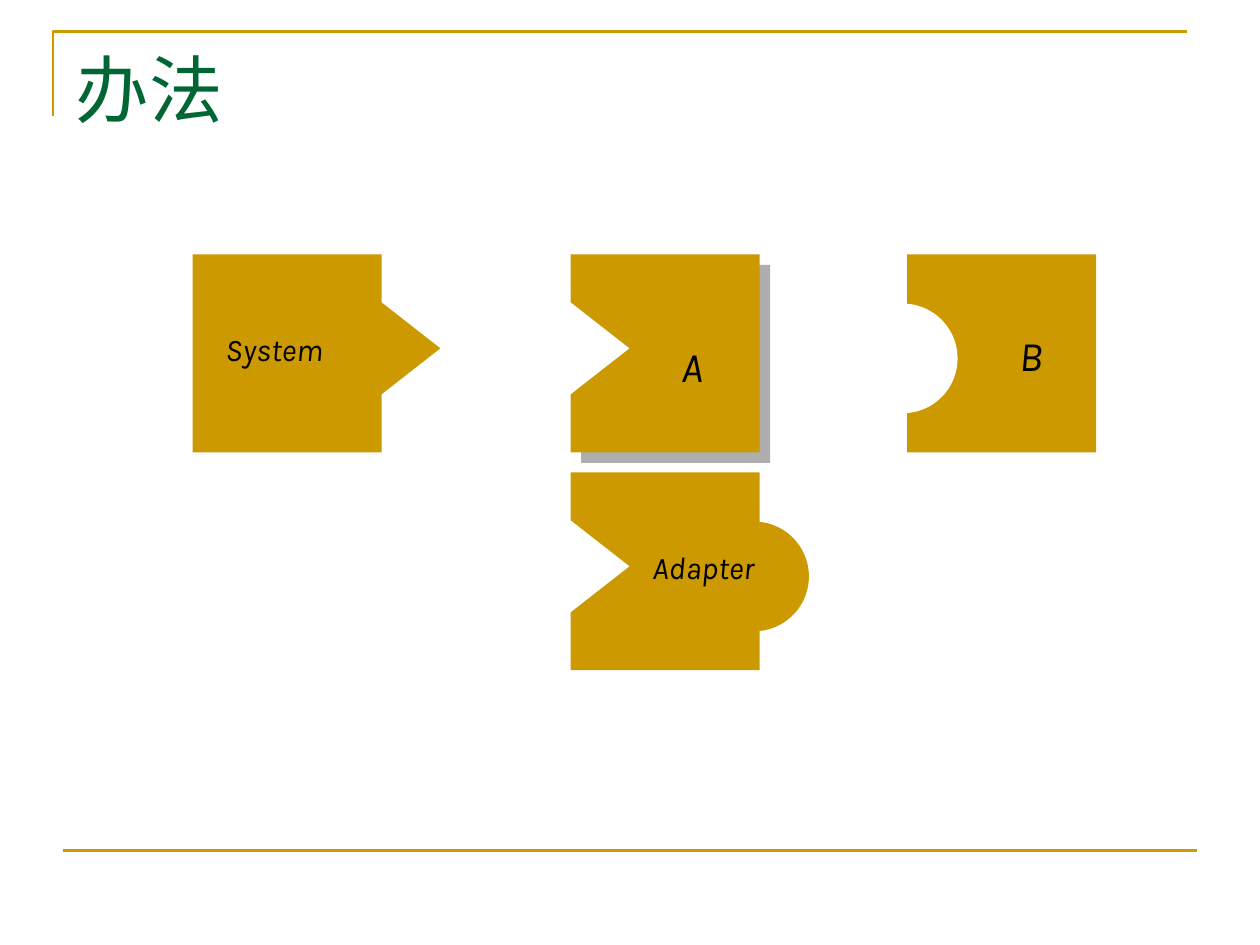
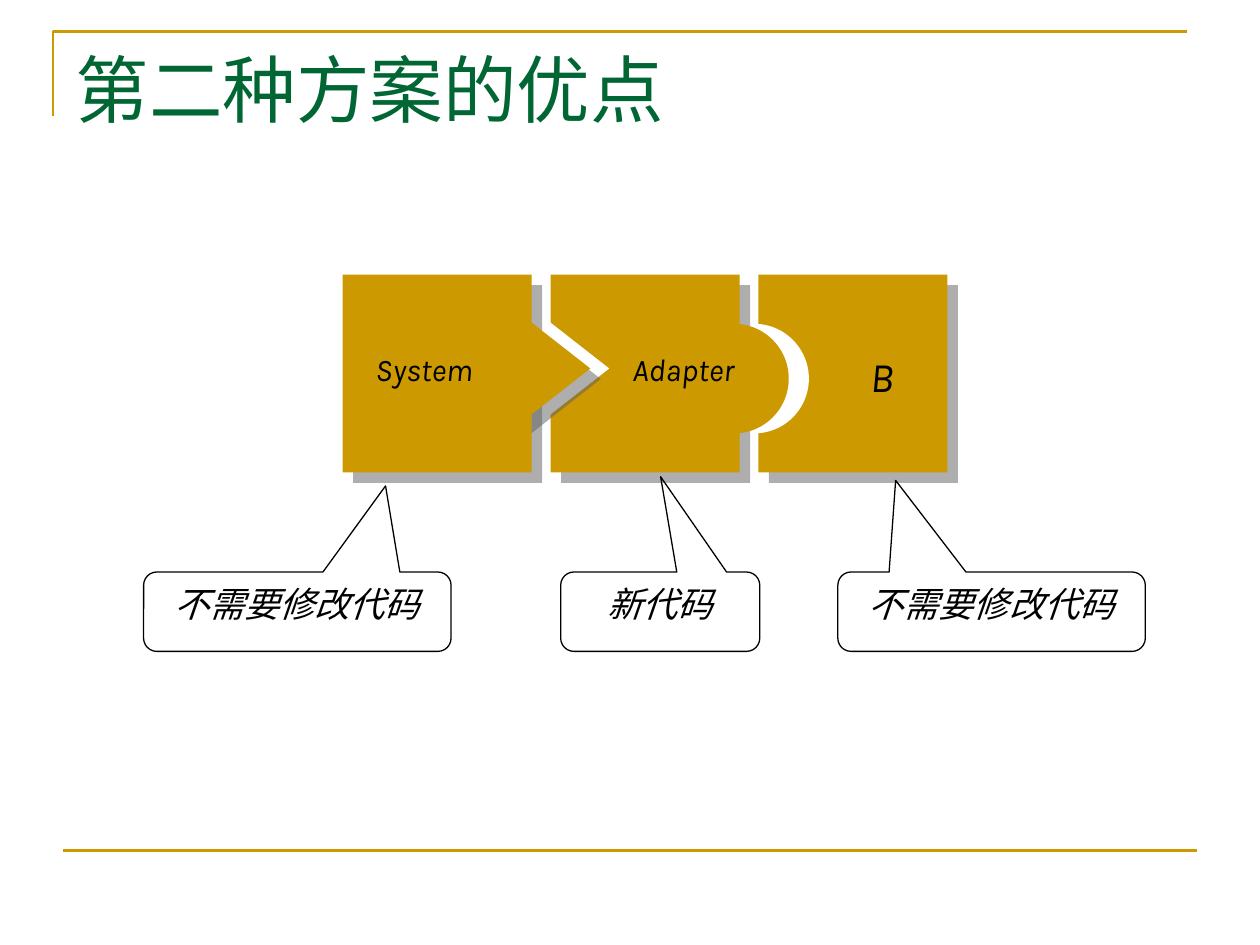
import dataclasses

import lxml.etree
import pptx
import pptx.dml.color
import pptx.enum.shapes
import pptx.enum.text
import pptx.oxml.ns
import pptx.util

Inches = pptx.util.Inches
Pt = pptx.util.Pt
RGB = pptx.dml.color.RGBColor.from_string
MSO_SHAPE = pptx.enum.shapes.MSO_SHAPE
ALIGN = pptx.enum.text.PP_ALIGN
ANCHOR = pptx.enum.text.MSO_ANCHOR
qn = pptx.oxml.ns.qn


@dataclasses.dataclass(frozen=True)
class Theme:
    gold: str = "CC9900"
    green: str = "006633"
    white: str = "FFFFFF"
    black: str = "000000"
    shadow: str = "5F5F5F"
    title_font: str = "Times New Roman"
    label_font: str = "Karla"
    title_size: int = 42
    letter_size: int = 24
    word_size: int = 18
    callout_size: int = 20


theme = Theme()


def write(sp, text, font, size, color, align, italic=True):
    tf = sp.text_frame
    tf.word_wrap = True
    tf.vertical_anchor = ANCHOR.TOP
    tf.text = text
    p = tf.paragraphs[0]
    p.alignment = align
    p.font.name = font
    p.font.size = Pt(size)
    p.font.italic = italic
    p.font.color.rgb = RGB(color)


def add_part(group, shape, x, y, w, h, color, shadow):
    sp = group.shapes.add_shape(shape, Inches(x), Inches(y), Inches(w), Inches(h))
    sp.fill.solid()
    sp.fill.fore_color.rgb = RGB(color)
    sp.line.fill.background()
    sp.shadow.inherit = False
    if shape == MSO_SHAPE.ISOSCELES_TRIANGLE:
        sp.rotation = 90
    if shadow:
        effects = sp._element.spPr.find(qn("a:effectLst"))
        outer = lxml.etree.SubElement(effects, qn("a:outerShdw"), dist=str(Pt(8.5)), dir="2700000", algn="ctr", rotWithShape="0")
        clr = lxml.etree.SubElement(outer, qn("a:srgbClr"), val=theme.shadow)
        lxml.etree.SubElement(clr, qn("a:alpha"), val="50000")


body_w, body_h = 1.5, 1.57
wedge = (MSO_SHAPE.ISOSCELES_TRIANGLE, 0.86, 0.55)
disc = (MSO_SHAPE.OVAL, 0.87, 0.87)
wedge_notch = (wedge, -0.24, 0.47, theme.white, False)
wedge_tab = (wedge, 1.26, 0.47, theme.gold, True)
disc_notch = (disc, -0.47, 0.39, theme.white, False)
disc_tab = (disc, 1.02, 0.39, theme.gold, False)

pieces = {
    "System": ([wedge_tab], (0.16, 0.55, 1.18, 0.4), theme.word_size),
    "A": ([wedge_notch], (0.78, 0.63, 0.47, 0.5), theme.letter_size),
    "B": ([disc_notch], (0.79, 0.55, 0.39, 0.5), theme.letter_size),
    "Adapter": ([wedge_notch, disc_tab], (0.55, 0.55, 1.34, 0.4), theme.word_size),
}

slides = [
    ("办法",
     [("B", 7.2, 2.02, False), ("Adapter", 4.53, 3.75, False),
      ("A", 4.53, 2.02, True), ("System", 1.53, 2.02, False)],
     []),
    ("第二种方案的优点",
     [(name, 2.72 + 1.65 * i, 2.18, True)
      for i, name in ((2, "B"), (1, "Adapter"), (0, "System"))],
     [("不需要修改代码", 1.14, 2.44, 0.287, -1.585),
      ("不需要修改代码", 6.65, 2.44, -0.312, -1.654),
      ("新代码", 4.45, 1.58, 0.002, -1.701)]),
]

prs = pptx.Presentation()
prs.slide_width = Inches(10)
prs.slide_height = Inches(7.5)

for title, placed, callouts in slides:
    s = prs.slides.add_slide(prs.slide_layouts[5])

    corner = s.shapes.build_freeform(Inches(0.42), Inches(0.92))
    corner.add_line_segments([(Inches(0.42), Inches(0.25)), (Inches(9.42), Inches(0.25))], close=False)
    frame = corner.convert_to_shape()
    frame.fill.background()
    frame.shadow.inherit = False
    footer = s.shapes.add_connector(pptx.enum.shapes.MSO_CONNECTOR.STRAIGHT, Inches(0.5), Inches(6.75), Inches(9.5), Inches(6.75))
    lxml.etree.SubElement(footer._element.spPr, qn("a:effectLst"))
    for rule in (frame, footer):
        rule.line.color.rgb = RGB(theme.gold)
        rule.line.width = Pt(1.5)

    sp = s.shapes.title
    sp.left, sp.top, sp.width, sp.height = Inches(0.5), Inches(0.3), Inches(9), Inches(1.25)
    write(sp, title, theme.title_font, theme.title_size, theme.green, ALIGN.LEFT, italic=False)
    sp.text_frame.auto_size = pptx.enum.text.MSO_AUTO_SIZE.NONE

    for name, x, y, shadow in placed:
        parts, (label_x, label_y, label_w, label_h), size = pieces[name]
        group = s.shapes.add_group_shape()
        add_part(group, MSO_SHAPE.RECTANGLE, x, y, body_w, body_h, theme.gold, shadow)
        for (shape, w, h), dx, dy, color, casts in parts:
            add_part(group, shape, x + dx, y + dy, w, h, color, shadow and casts)
        label = group.shapes.add_textbox(Inches(x + label_x), Inches(y + label_y), Inches(label_w), Inches(label_h))
        write(label, name, theme.label_font, size, theme.black, ALIGN.LEFT)

    for text, x, w, tip_x, tip_y in callouts:
        sp = s.shapes.add_shape(MSO_SHAPE.ROUNDED_RECTANGULAR_CALLOUT, Inches(x), Inches(4.54), Inches(w), Inches(0.63))
        sp.adjustments[0] = tip_x
        sp.adjustments[1] = tip_y
        sp.fill.background()
        sp.line.color.rgb = RGB(theme.black)
        sp.line.width = Pt(0.75)
        sp.shadow.inherit = False
        write(sp, text, theme.title_font, theme.callout_size, theme.black, ALIGN.CENTER)

prs.save("out.pptx")
